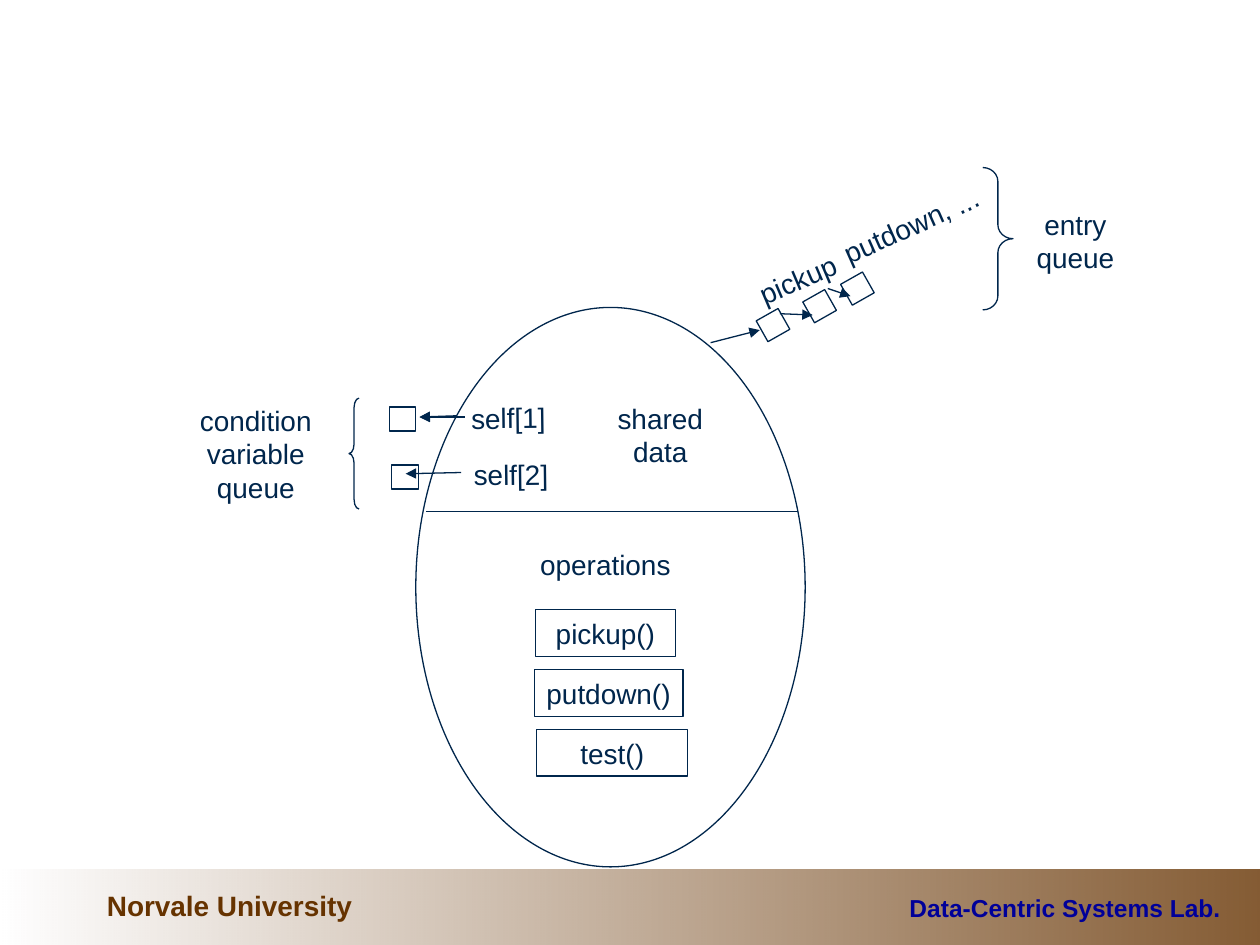
"""Build a slide of a monitor with its entry queue and condition queues."""
from dataclasses import dataclass
from pptx import Presentation, util as u
from pptx.dml.color import RGBColor as Rgb
from pptx.enum import shapes as sh, text as tx
from pptx.oxml.ns import qn
from lxml import etree

COLS, ROWS = 100, 75


@dataclass(frozen=True)
class Theme:
    font: str = "Arial"
    ink: str = "00264C"
    brown: str = "663300"
    blue: str = "000099"
    body: int = 16
    small: int = 14
    line: float = 0.75


THEME = Theme()
KIND = sh.MSO_SHAPE
BAR = (0, 69, 100, 6)
EGG = (33, 24.4, 30.9, 44.4)
SPLIT = (33.8, 40.6, 63.3, 40.6)
TILT = 240.5
ENTRY = [(60.4, 24.8), (64.1, 23.3), (67.1, 21.9)]
WAIT = [(30.9, 32.3), (31.1, 36.9)]
OPS = [("pickup()", 42.5, 11.1), ("putdown()", 42.4, 11.8), ("test()", 42.6, 12)]
OPS_TOP, OPS_STEP, OPS_H = 48.4, 4.75, 3.7
BRACES = [
    (KIND.RIGHT_BRACE, (78, 13.3, 2.4, 11.3), 0.46),
    (KIND.LEFT_BRACE, (27.7, 31.6, 0.8, 8.8), 0.94),
]
ARROWS = [
    (61.9, 24.9, 64.5, 25), (65.7, 22.9, 67.5, 23.5), (56.4, 27.2, 60.3, 26.2),
    (36.9, 33.1, 33.3, 33.1), (36.6, 37.5, 32.2, 37.6), (36.2, 33, 33.3, 33.1),
]
LABELS = [
    (["pickup"], (59.1, 20.3, 8.4, 3.7), 336.8),
    (["putdown, ..."], (65.6, 16, 13.4, 3.7), 336.1),
    (["self[1]"], (36.4, 31.3, 7.9, 3.7), 359.3),
    (["self[2]"], (36.6, 35.8, 7.9, 3.7), 359.3),
    (["condition", "variable", "queue"], (14.9, 31.5, 10.8, 9), 0),
    (["entry", "queue"], (81.3, 15.9, 8.1, 6.4), 0),
    (["shared", "data"], (48, 31.3, 8.8, 6.4), 0),
    (["operations"], (41.9, 42.9, 12.3, 3.7), 0),
]
FOOT = [
    ("Data-Centric Systems Lab.", (71.2, 70, 27.6, 3.7), THEME.small, THEME.blue),
    ("Norvale University", (7.5, 70.8, 22.8, 2.9), THEME.body, THEME.brown),
]

deck = Presentation()
deck.slide_width, deck.slide_height = u.Inches(10), u.Inches(7.5)
slide = deck.slides.add_slide(deck.slide_layouts[6])


def place(box):
    """Turn pairs of column and row into slide lengths."""
    units = deck.slide_width / COLS, deck.slide_height / ROWS
    return [round(n * units[i % 2]) for i, n in enumerate(box)]


def shape(kind, box, turn=0):
    """Add an outlined shape without fill."""
    item = slide.shapes.add_shape(kind, *place(box))
    item.shadow.inherit = False
    item.fill.background()
    item.line.color.rgb = Rgb.from_string(THEME.ink)
    item.line.width = u.Pt(THEME.line)
    item.rotation = turn
    return item


def write(item, lines, size=THEME.body, ink=THEME.ink, foot=False):
    """Write one paragraph per line into a shape."""
    frame = item.text_frame
    frame.word_wrap = foot
    frame.auto_size = tx.MSO_AUTO_SIZE.NONE
    frame.vertical_anchor = tx.MSO_ANCHOR.BOTTOM if foot else tx.MSO_ANCHOR.MIDDLE
    for i, line in enumerate(lines):
        para = frame.add_paragraph() if i else frame.paragraphs[0]
        para.alignment = tx.PP_ALIGN.LEFT if foot else tx.PP_ALIGN.CENTER
        run = para.add_run()
        run.text = line
        font = run.font
        font.name, font.size, font.bold = THEME.font, u.Pt(size), foot
        font.color.rgb = Rgb.from_string(ink)


def label(lines, box, turn=0, **style):
    """Add a text box."""
    item = slide.shapes.add_textbox(*place(box))
    item.rotation = turn
    write(item, lines, **style)


def link(ends, arrow=True):
    """Add a straight line, with an arrowhead at its end if asked."""
    item = slide.shapes.add_connector(sh.MSO_CONNECTOR.STRAIGHT, *place(ends))
    item.line.color.rgb = Rgb.from_string(THEME.ink)
    item.line.width = u.Pt(THEME.line)
    if arrow:
        etree.SubElement(item.line._get_or_add_ln(), qn("a:tailEnd"), type="triangle")
    etree.SubElement(item._element.spPr, qn("a:effectLst"))


def footer():
    """Add the fading bar and its two lines of text."""
    bar = shape(KIND.RECTANGLE, BAR)
    bar.line.fill.background()
    bar.fill.gradient()
    bar.fill.gradient_angle = 0
    for stop, pos, alpha in zip(bar.fill.gradient_stops, (0, 1), (0, 80000)):
        stop.position = pos
        stop.color.rgb = Rgb.from_string(THEME.brown)
        tone = list(bar._element.spPr.iter(qn("a:srgbClr")))[-1 if pos else 0]
        etree.SubElement(tone, qn("a:alpha"), val=str(alpha))
    for line, box, size, ink in FOOT:
        label([line], box, size=size, ink=ink, foot=True)


def main():
    """Draw every part and save the deck."""
    footer()
    shape(KIND.OVAL, EGG)
    link(SPLIT, arrow=False)
    for spot in ENTRY:
        shape(KIND.RECTANGLE, (*spot, 1.9, 2), TILT)
    for spot in WAIT:
        shape(KIND.RECTANGLE, (*spot, 2.1, 1.9))
    for kind, box, bend in BRACES:
        shape(kind, box).adjustments[0] = bend
    for ends in ARROWS:
        link(ends)
    for i, (name, left, width) in enumerate(OPS):
        box = left, OPS_TOP + i * OPS_STEP, width, OPS_H
        write(shape(KIND.RECTANGLE, box), [name])
    for lines, box, turn in LABELS:
        label(lines, box, turn)
    deck.save("out.pptx")


if __name__ == "__main__":
    main()
